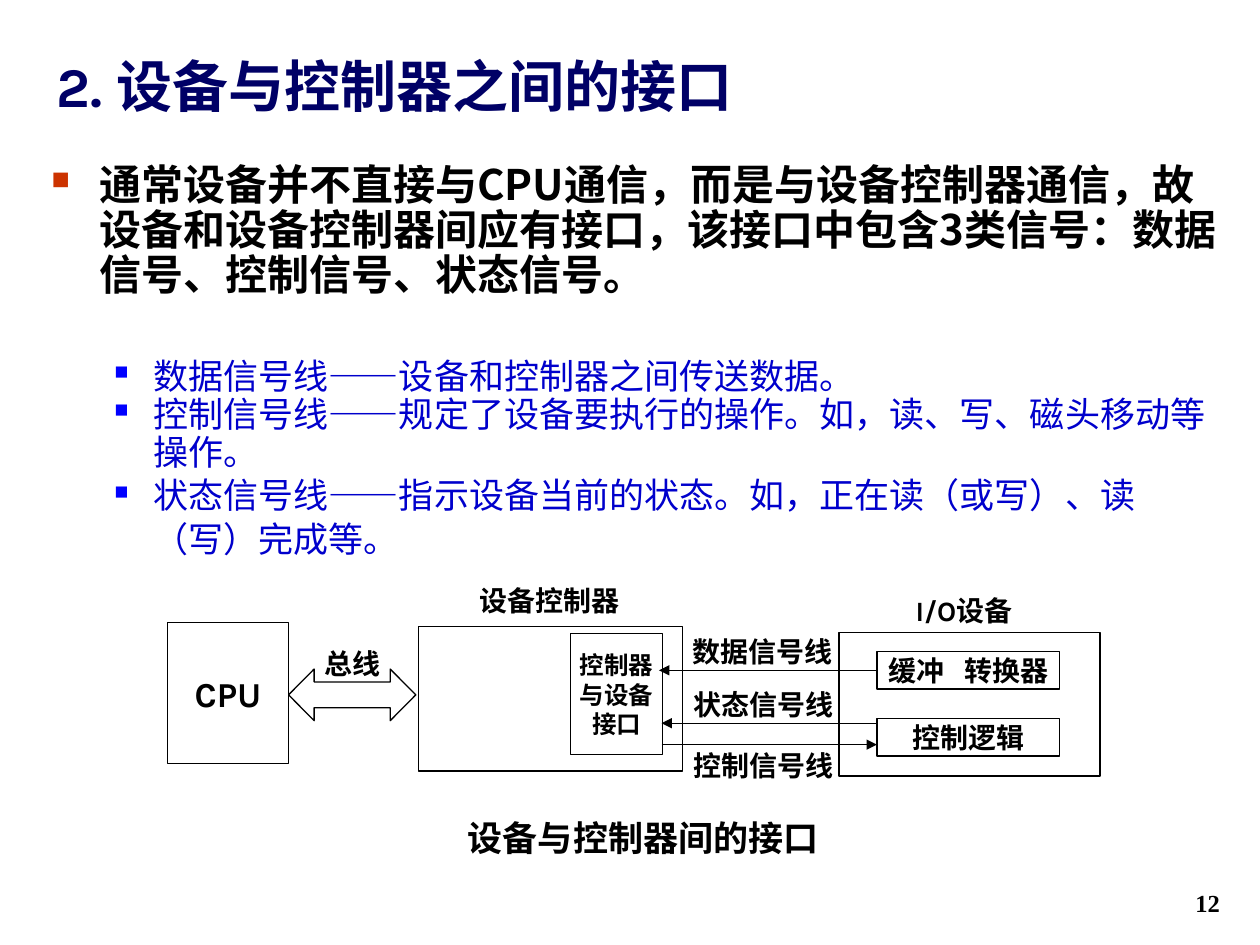
import pptx
import pptx.util
import pptx.dml.color
import pptx.enum.shapes
import pptx.enum.text
import pptx.oxml
import pptx.oxml.ns
from dataclasses import dataclass

Inches, Pt = pptx.util.Inches, pptx.util.Pt
SHAPE = pptx.enum.shapes.MSO_SHAPE
ALIGN = pptx.enum.text.PP_ALIGN
ANCHOR = pptx.enum.text.MSO_ANCHOR


@dataclass
class Theme:
    ink: str = "000000"
    heading: str = "000066"
    detail: str = "0000CC"
    point_bullet: str = "CC3300"
    detail_bullet: str = "0000FF"
    latin: str = "Karla"
    cjk: str = "Noto Sans CJK SC"
    dash: str = "Arial"
    number: str = "Times New Roman"
    title_size: float = 32
    point_size: float = 24
    detail_size: float = 20
    label_size: float = 16
    small_size: float = 14
    line: float = 0.75


theme = Theme()

# Content
TITLE = [("2. ", theme.latin), ("设备与控制器之间的接口", theme.cjk)]
POINT = "通常设备并不直接与CPU通信，而是与设备控制器通信，故设备和设备控制器间应有接口，该接口中包含3类信号：数据信号、控制信号、状态信号。"
DETAILS = [  # signal, explanation, line pitch in points
    ("数据信号线", "设备和控制器之间传送数据。", 21.7),
    ("控制信号线", "规定了设备要执行的操作。如，读、写、磁头移动等操作。", 21.7),
    ("状态信号线", "指示设备当前的状态。如，正在读（或写）、读（写）完成等。", 25),
]
PAGE = "12"
BOXES = {  # name: (left, top, width, height), text, size
    "device": ((6.66, 5.02, 2.07, 1.14), "", theme.label_size),
    "controller": ((3.32, 4.97, 2.1, 1.15), "", theme.label_size),
    "buffer": ((6.96, 5.17, 1.45, 0.3), "缓冲 转换器", theme.label_size),
    "logic": ((6.96, 5.7, 1.45, 0.3), "控制逻辑", theme.label_size),
    "interface": ((4.53, 5.03, 0.73, 0.96), "控制器与设备接口", theme.small_size),
    "cpu": ((1.33, 4.94, 0.96, 1.12), "CPU", theme.detail_size),
}
LABELS = [
    ((5.42, 5.03, 1.26, 0.29), "数据信号线", theme.label_size),
    ((5.43, 5.45, 1.26, 0.29), "状态信号线", theme.label_size),
    ((5.43, 5.93, 1.26, 0.29), "控制信号线", theme.label_size),
    ((3.6, 4.62, 1.52, 0.29), "设备控制器", theme.label_size),
    ((6.81, 4.7, 1.68, 0.29), "I/O设备", theme.label_size),
    ((2.48, 5.12, 0.63, 0.29), "总线", theme.label_size),
    ((3.08, 6.47, 4.05, 0.36), "设备与控制器间的接口", theme.detail_size),
]
SIGNALS = [  # from x, to x, y
    (6.96, 5.23, 5.32),
    (6.96, 5.25, 5.74),
    (5.25, 6.96, 5.91),
]
BUS = (2.29, 5.31, 1.01, 0.41)

deck = pptx.Presentation()
deck.slide_width, deck.slide_height = Inches(10), Inches(7.5)
slide = deck.slides.add_slide(deck.slide_layouts[6])


def rgb(code):
    return pptx.dml.color.RGBColor.from_string(code)


def add_child(parent, tag, **attributes):
    child = pptx.oxml.parse_xml(f"<a:{tag} {pptx.oxml.ns.nsdecls('a')}/>")
    for key, value in attributes.items():
        child.set(key, value)
    parent.append(child)
    return child


def add_run(paragraph, text, size, font=theme.latin, color=theme.ink, bold=True):
    run = paragraph.add_run()
    run.text = text
    run.font.size, run.font.bold = Pt(size), bold
    run.font.color.rgb = rgb(color)
    run.font.name = font
    add_child(run.font._element, "ea", typeface=theme.cjk)
    return run


def text_area(place, anchor=ANCHOR.TOP):
    frame = slide.shapes.add_textbox(*map(Inches, place)).text_frame
    frame.word_wrap, frame.vertical_anchor = True, anchor
    return frame


def tighten(frame):
    frame.margin_left = frame.margin_right = Inches(0.02)
    frame.margin_top = frame.margin_bottom = Inches(0.01)
    frame.paragraphs[0].alignment = ALIGN.CENTER


def add_bullet(paragraph, indent, hang, color, percent, pitch):
    paragraph.line_spacing = Pt(pitch)
    props = paragraph._p.get_or_add_pPr()
    props.set("marL", str(Inches(indent)))
    props.set("indent", str(-Inches(hang)))
    add_child(add_child(props, "buClr"), "srgbClr", val=color)
    add_child(props, "buSzPct", val=str(percent * 1000))
    add_child(props, "buChar", char="■")


def outline(kind, place):
    shape = slide.shapes.add_shape(kind, *map(Inches, place))
    shape.shadow.inherit = False
    shape.fill.background()
    shape.line.color.rgb, shape.line.width = rgb(theme.ink), Pt(theme.line)
    return shape


# Page number and title
number = text_area((7.7, 6.83, 2.08, 0.5), ANCHOR.BOTTOM).paragraphs[0]
number.alignment = ALIGN.RIGHT
add_run(number, PAGE, theme.small_size, theme.number)
title = text_area((0.35, 0.23, 9.43, 0.76), ANCHOR.BOTTOM).paragraphs[0]
for text, font in TITLE:
    add_run(title, text, theme.title_size, font, theme.heading)

# Main point and signal details
body = text_area((0.31, 1.25, 9.48, 4.41))
point = body.paragraphs[0]
add_bullet(point, 0.38, 0.38, theme.point_bullet, 60, 25.7)
add_run(point, POINT, theme.point_size, theme.cjk)
for index, (signal, meaning, pitch) in enumerate(DETAILS):
    detail = body.add_paragraph()
    detail.level = 1
    detail.space_before = Pt(0 if index else 34)
    add_bullet(detail, 0.81, 0.31, theme.detail_bullet, 55, pitch)
    for text, font in ((signal, theme.cjk), ("——", theme.dash), (meaning, theme.cjk)):
        add_run(detail, text, theme.detail_size, font, theme.detail, bold=False)

# Diagram boxes
boxes = {}
for name, (place, text, size) in BOXES.items():
    boxes[name] = outline(SHAPE.RECTANGLE, place)
    frame = boxes[name].text_frame
    tighten(frame)
    frame.word_wrap, frame.vertical_anchor = name != "cpu", ANCHOR.MIDDLE
    if name == "interface":
        frame.paragraphs[0].line_spacing = Pt(17)
    before, space, after = text.partition(" ")
    for part in filter(None, (before, space, after)):
        run = add_run(frame.paragraphs[0], part, size)
        if part == " ":
            run.font._element.set("spc", "800")  # widen the word gap

# Bus arrow
bus = outline(SHAPE.LEFT_RIGHT_ARROW, BUS)
bus.adjustments[0], bus.adjustments[1] = 0.5, 0.495

# Signal lines
for start, end, y in SIGNALS:
    signal = slide.shapes.add_connector(
        pptx.enum.shapes.MSO_CONNECTOR.STRAIGHT, *map(Inches, (start, y, end, y)))
    signal.line.color.rgb, signal.line.width = rgb(theme.ink), Pt(theme.line)
    add_child(signal.line._get_or_add_ln(), "tailEnd", type="triangle")
    add_child(signal._element.spPr, "effectLst")
    if y == SIGNALS[0][2]:
        signal.begin_connect(boxes["buffer"], 1)

# Labels and caption
for place, text, size in LABELS:
    frame = text_area(place)
    tighten(frame)
    add_run(frame.paragraphs[0], text, size)

deck.save("out.pptx")
